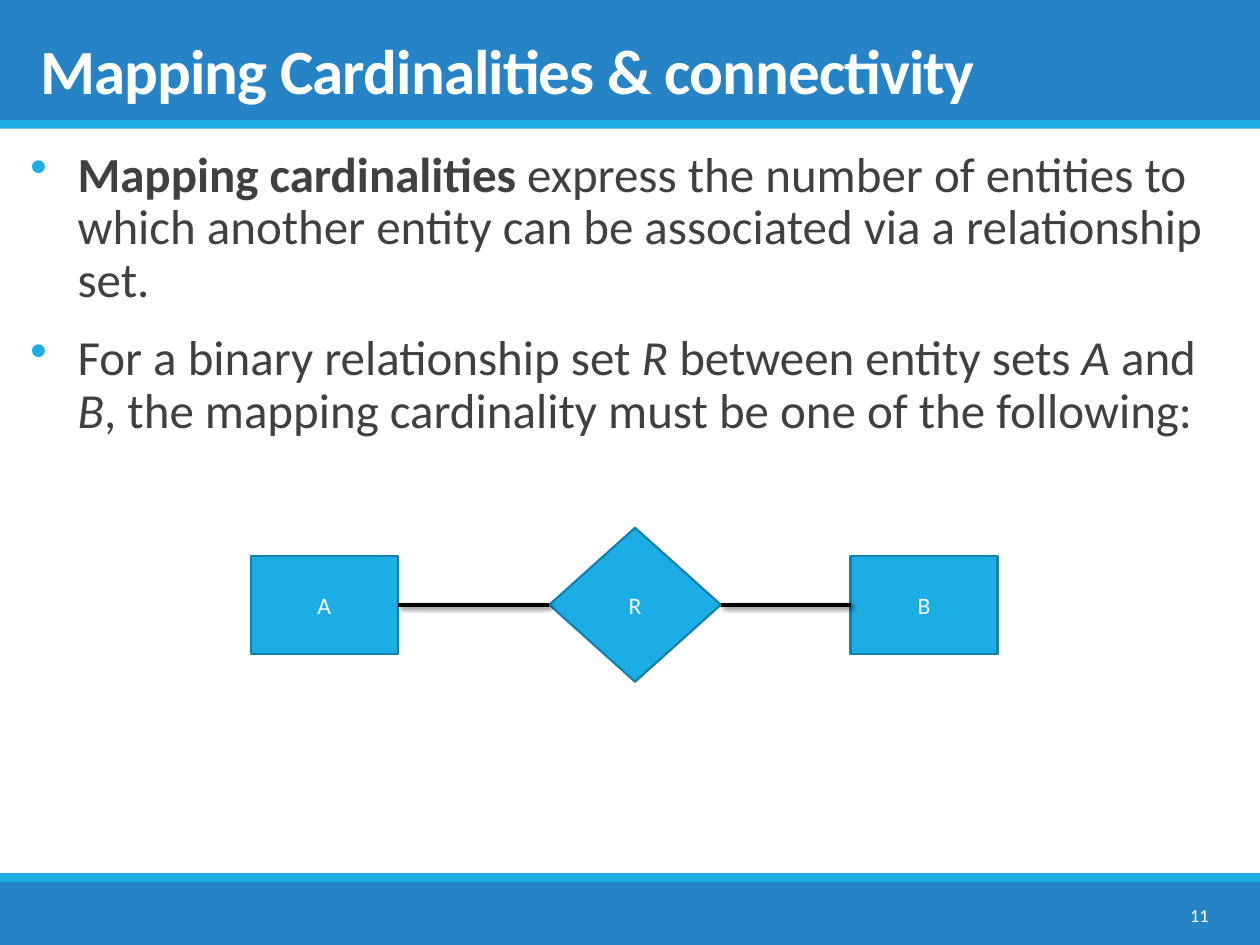
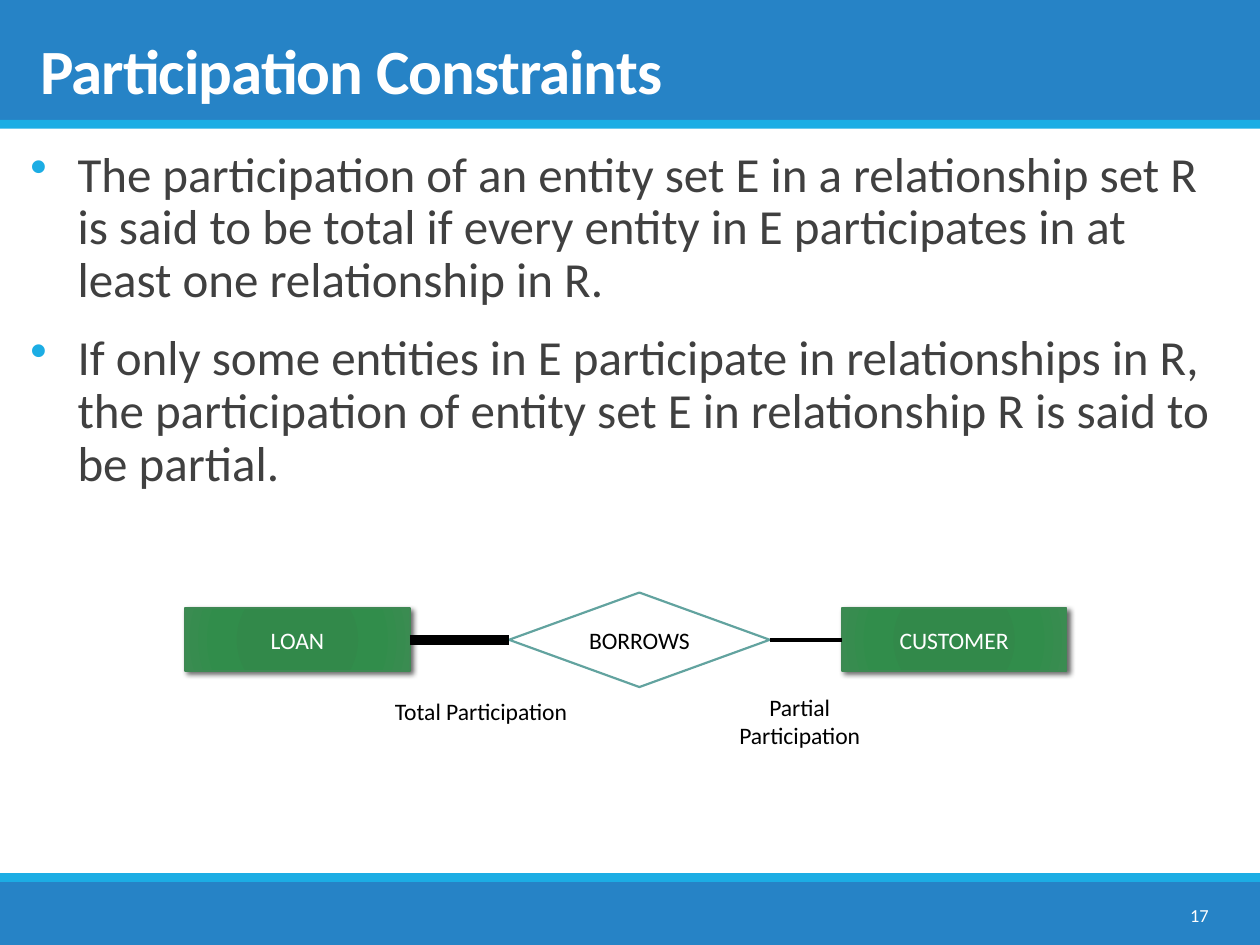
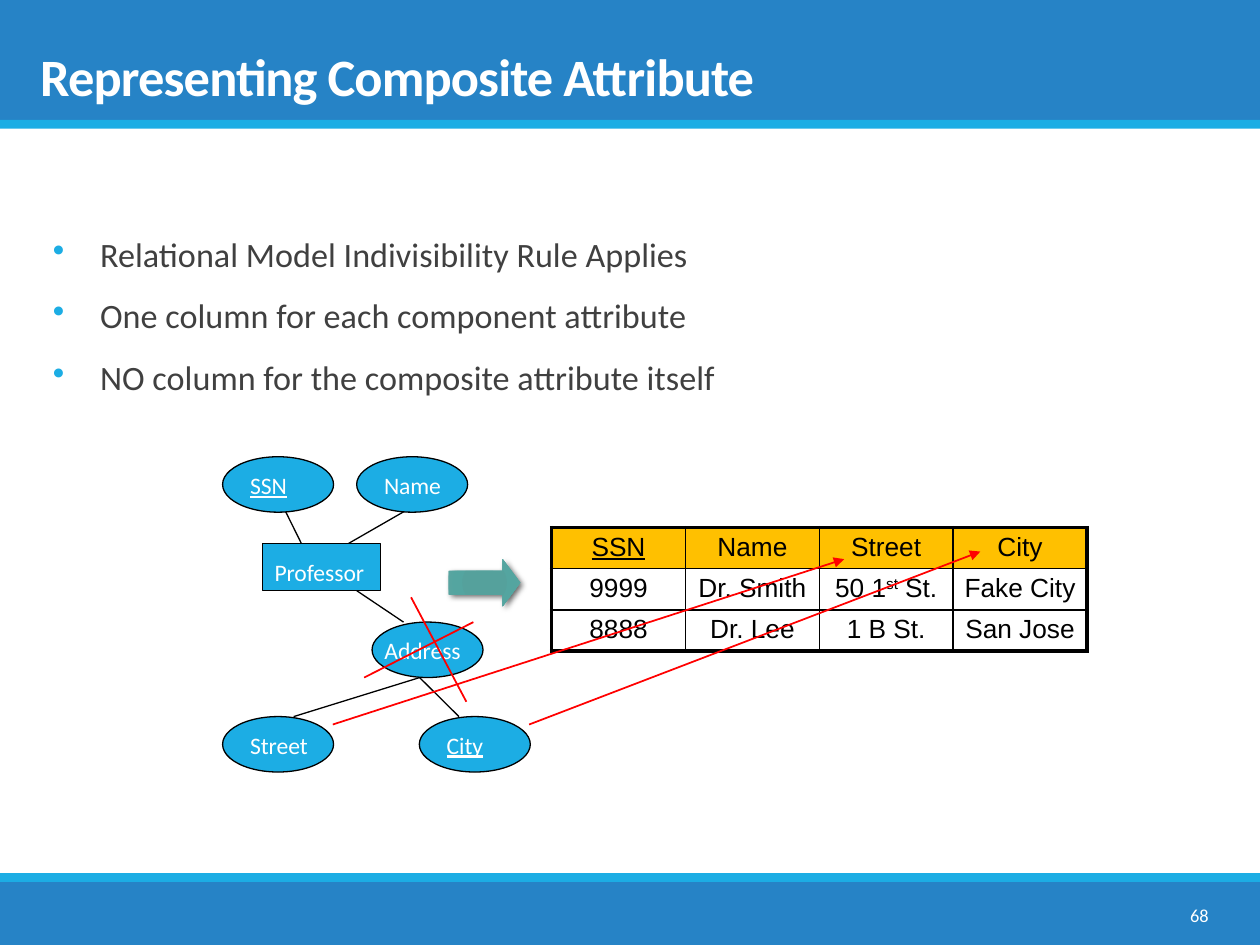
from dataclasses import dataclass

from lxml import etree
from pptx import Presentation
from pptx.dml.color import RGBColor
from pptx.enum import shapes, text
from pptx.oxml import ns
from pptx.util import Pt


@dataclass(frozen=True)
class Theme:
    blue: str = "2683C6"
    cyan: str = "1CADE4"
    cyan_edge: str = "1580A9"
    green_edge: str = "3E8853"
    teal_edge: str = "62A39F"
    gold: str = "FFC000"
    red: str = "FF0000"
    ink: str = "404040"
    black: str = "000000"
    white: str = "FFFFFF"
    greens: tuple = ("2F8949", "32894A", "318D4B", "3A8C51")
    teals: tuple = ("52A19C", "55A19C", "54A5A0", "5FA6A2")
    font: str = "Calibri"
    table_font: str = "Arial"
    label: float = 13.5
    cell: float = 15
    number: float = 10.5


THEME = Theme()
KIND = shapes.MSO_SHAPE
ALIGN = text.PP_ALIGN
ANCHOR = text.MSO_ANCHOR
WIDTH, HEIGHT = 720, 540

BANDS = [  # top, height, colour
    (0, 69, THEME.blue), (504, 36, THEME.blue),
    (499, 5, THEME.cyan), (68.6, 5, THEME.cyan),
]

# A paragraph is a string or a list of (text, style) spans.
PAGES = [
    dict(title="Mapping Cardinalities & connectivity", title_size=36, number="11",
         body_at=(17.3, 82, 680.4, 407.5), body_size=28, body=[
             [("Mapping cardinalities ", "bold"),
              ("express the number of entities to which another entity can be "
               "associated via a relationship set.", "")],
             [("For a binary relationship set ", ""), ("R ", "italic"),
              ("between entity sets ", ""), ("A ", "italic"), ("and ", ""), ("B", "italic"),
              (", the mapping cardinality must be one of the following:", "")]]),
    dict(title="Participation Constraints", title_size=36, number="17",
         body_at=(17.3, 82, 680.4, 407.5), body_size=28, body=[
             "The participation of an entity set E in a relationship set R is said to be "
             "total if every entity in E participates in at least one relationship in R.",
             "If only some entities in E participate in relationships in R, the "
             "participation of entity set E in relationship R is said to be partial."]),
    dict(title="Representing Composite Attribute", title_size=30, number="68",
         body_at=(30.2, 132.5, 572.4, 103.7), body_size=19.5, body=[
             "Relational Model Indivisibility Rule Applies",
             "One column for each component attribute",
             "NO column for the composite attribute itself"]),
]

CYAN_PART = dict(fill=THEME.cyan, line=THEME.cyan_edge, weight=1.25)
GREEN_PART = dict(fill=THEME.greens, line=THEME.green_edge, weight=1, shadow=3)
CARDINALITY = dict(
    axis=345.6, line_weights=(2, 2), line_shadow=3,
    parts=[  # label, kind, left, width, height, text colour, look
        ("A", KIND.RECTANGLE, 143.3, 84, 56, THEME.white, CYAN_PART),
        ("R", KIND.FLOWCHART_DECISION, 313.9, 98, 88, THEME.white, CYAN_PART),
        ("B", KIND.RECTANGLE, 486, 84, 56, THEME.white, CYAN_PART)])
PARTICIPATION = dict(
    axis=365.6, line_weights=(5.75, 2), line_shadow=None,
    parts=[
        ("LOAN", KIND.RECTANGLE, 105.8, 128.4, 36, THEME.white, GREEN_PART),
        ("BORROWS", KIND.FLOWCHART_DECISION, 290.9, 149, 54, THEME.black,
         dict(fill=THEME.white, line=THEME.teal_edge, weight=1.25)),
        ("CUSTOMER", KIND.RECTANGLE, 481, 128.4, 36, THEME.white, GREEN_PART)])
PARTICIPATION_LABELS = [
    (["Total Participation"], (218.6, 394.6, 115.2, 24), ALIGN.LEFT),
    (["Partial", "Participation"], (413.5, 392.4, 87, 40), ALIGN.CENTER),
]

OVAL = (63.4, 31.7)
NODES = [  # label, kind, left, top, size, label shift, label width, style
    ("Professor", KIND.RECTANGLE, 149.8, 310.5, (67.6, 26.9), (0, 5), 72, ""),
    ("SSN", KIND.OVAL, 127.2, 261, OVAL, (8.6, 4.5), 50, "underline"),
    ("Name", KIND.OVAL, 203.8, 261, OVAL, (8.6, 4.5), 50, ""),
    ("Address", KIND.OVAL, 212.6, 355.5, OVAL, (0, 4.5), OVAL[0], ""),
    ("Street", KIND.OVAL, 127.2, 409.5, OVAL, (8.6, 4.5), 50, ""),
    ("City", KIND.OVAL, 239.6, 409.5, OVAL, (8.6, 4.5), 50, "underline"),
]
NODE_LINKS = [
    ((230.6, 355.5), (203.8, 337.5)), ((163.3, 292.5), (172.2, 310.5)),
    ((230.6, 292.5), (199.3, 310.5)), ((239.8, 387.2), (167.8, 409.5)),
    ((239.8, 387.2), (262.3, 409.5)),
]
CROSS_OUT = [((234.9, 341.3), (266.5, 401)), ((270.5, 355.5), (208.1, 387.2))]
COLUMN_ARROWS = [((190.2, 414), (482.4, 319.5)), ((302.4, 414), (560.2, 315.2))]

TABLE_AT = (315.2, 301.5, 306, 70.5)
TABLE = [
    [[("SSN", "underline")], "Name", "Street", "City"],
    ["9999", "Dr. Smith", [("50 1", ""), ("st", "superscript"), (" St.", "")], "Fake City"],
    ["8888", "Dr. Lee", "1 B St.", "San Jose"],
]


def rgb(color):
    return RGBColor.from_string(color)


def points(*lengths):
    return [Pt(length) for length in lengths]


def add_xml(parent, tag, **attributes):
    values = {name: str(value) for name, value in attributes.items()}
    return etree.SubElement(parent, ns.qn(tag), values)


def write(frame, paras, size=THEME.label, color=THEME.black, font=THEME.font, bold=False,
          align=ALIGN.LEFT, anchor=ANCHOR.TOP, line_spacing=None, bullet=False, tracking=0):
    frame.word_wrap = True
    frame.auto_size = text.MSO_AUTO_SIZE.NONE
    frame.vertical_anchor = anchor
    for index, spans in enumerate(paras):
        para = frame.add_paragraph() if index else frame.paragraphs[0]
        para.alignment = align
        if line_spacing:
            para.line_spacing = line_spacing
        if bullet:
            add_bullet(para)
            para.space_before = Pt(12 if index else 0)
            para.space_after = Pt(2)
        for words, style in [(spans, "")] if isinstance(spans, str) else spans:
            span = para.add_run()
            span.text = words
            span.font.name, span.font.size = font, Pt(size)
            span.font.color.rgb = rgb(color)
            span.font.bold = bold or style == "bold"
            span.font.italic = style == "italic"
            span.font.underline = style == "underline"
            properties = span._r.get_or_add_rPr()
            if style == "superscript":
                properties.set("baseline", "30000")
            if tracking:
                properties.set("spc", str(round(tracking * 100)))


def add_bullet(para):
    properties = para._p.get_or_add_pPr()
    properties.set("marL", str(Pt(27)))
    properties.set("indent", str(-Pt(27)))
    add_xml(add_xml(properties, "a:buClr"), "a:srgbClr", val=THEME.cyan)
    add_xml(properties, "a:buChar", char="•")


def add_text(page, at, paras, **format):
    box = page.shapes.add_textbox(*points(*at))
    write(box.text_frame, paras, **format)
    return box


def fill_gradient(shape, colors):
    shape.fill.background()
    properties = shape.element.spPr
    plain = properties.find(ns.qn("a:noFill"))
    gradient = etree.Element(ns.qn("a:gradFill"), rotWithShape="1")
    stops = add_xml(gradient, "a:gsLst")
    for position, color in zip((0, 34, 70, 100), colors):
        add_xml(add_xml(stops, "a:gs", pos=position * 1000), "a:srgbClr", val=color)
    center = add_xml(gradient, "a:path", path="circle")
    add_xml(center, "a:fillToRect", l=100000, t=100000, r=100000, b=100000)
    properties.replace(plain, gradient)


def cast_shadow(part, blur):
    effects = part.element.spPr.find(ns.qn("a:effectLst"))
    shadow = add_xml(effects, "a:outerShdw", blurRad=Pt(blur), dist=Pt(2),
                     dir=45 * 60000, algn="tl", rotWithShape=0)
    add_xml(add_xml(shadow, "a:srgbClr", val=THEME.black), "a:alpha", val=60000)


def add_part(page, kind, at, fill, line=None, weight=0.75, shadow=None):
    """Add a preset shape; a tuple of colours as fill makes a gradient."""
    shape = page.shapes.add_shape(kind, *points(*at))
    shape.shadow.inherit = False
    if isinstance(fill, tuple):
        fill_gradient(shape, fill)
    else:
        shape.fill.solid()
        shape.fill.fore_color.rgb = rgb(fill)
    if line:
        shape.line.color.rgb = rgb(line)
        shape.line.width = Pt(weight)
    else:
        shape.line.fill.background()
    if shadow:
        cast_shadow(shape, shadow)
    return shape


def add_line(page, start=(0, 0), end=(0, 0), color=THEME.black, weight=0.75,
             shadow=None, arrow=False):
    line = page.shapes.add_connector(shapes.MSO_CONNECTOR.STRAIGHT, *points(*start, *end))
    add_xml(line.element.spPr, "a:effectLst")
    line.line.color.rgb = rgb(color)
    line.line.width = Pt(weight)
    if shadow:
        cast_shadow(line, shadow)
    if arrow:
        add_xml(line.line._get_or_add_ln(), "a:tailEnd", type="triangle")
    return line


def add_bands(deck, layout):
    """Draw the bands on a page and move them behind everything on the layout."""
    page = deck.slides[0]
    for index, (top, height, color) in enumerate(BANDS):
        band = add_part(page, KIND.RECTANGLE, (0, top, WIDTH, height), color)
        layout.shapes.element.insert(2 + index, band.element)


def add_page(deck, layout, content):
    page = deck.slides.add_slide(layout)
    title = page.shapes.title
    title.left, title.top, title.width, title.height = points(15.8, 5, 686.2, 59.8)
    write(title.text_frame, [content["title"]], size=content["title_size"],
          color=THEME.white, bold=True, anchor=ANCHOR.BOTTOM, line_spacing=0.85, tracking=-0.5)
    body = add_text(page, content["body_at"], content["body"], size=content["body_size"],
                    color=THEME.ink, line_spacing=0.9, bullet=True)
    body.text_frame.margin_left = body.text_frame.margin_right = 0
    add_text(page, (619.9, 508.5, 77.8, 28.8), [content["number"]], size=THEME.number,
             color=THEME.white, align=ALIGN.RIGHT, anchor=ANCHOR.MIDDLE)
    return page


def draw_relation(page, axis, parts, line_weights, line_shadow):
    """Place the parts on one horizontal axis and join neighbours side to side."""
    placed = []
    for label, kind, left, width, height, color, look in parts:
        shape = add_part(page, kind, (left, axis - height / 2, width, height), **look)
        write(shape.text_frame, [label], color=color, align=ALIGN.CENTER, anchor=ANCHOR.MIDDLE)
        shape.text_frame.margin_left = shape.text_frame.margin_right = 0
        placed.append(shape)
    for left_part, right_part, weight in zip(placed, placed[1:], line_weights):
        line = add_line(page, weight=weight, shadow=line_shadow)
        line.begin_connect(left_part, 3)
        line.end_connect(right_part, 1)


def set_borders(cell, **weights):
    properties = cell._tc.get_or_add_tcPr()
    for side, weight in weights.items():
        border = add_xml(properties, f"a:ln{side}", w=Pt(weight))
        add_xml(add_xml(border, "a:solidFill"), "a:srgbClr", val=THEME.black)


def draw_table(page):
    last_row, last_column = len(TABLE) - 1, len(TABLE[0]) - 1
    table = page.shapes.add_table(len(TABLE), len(TABLE[0]), *points(*TABLE_AT)).table
    table.first_row = table.horz_banding = False
    for row, values in enumerate(TABLE):
        for column, value in enumerate(values):
            cell = table.cell(row, column)
            cell.margin_left = cell.margin_right = Pt(5)
            cell.margin_top = cell.margin_bottom = Pt(2.7)
            write(cell.text_frame, [value], size=THEME.cell, font=THEME.table_font,
                  align=ALIGN.CENTER)
            set_borders(cell, L=1 if column else 2.25, R=2.25 if column == last_column else 1,
                        T=1 if row else 2.25, B=2.25 if row == last_row else 1)
            if row:
                cell.fill.background()
            else:
                cell.fill.solid()
                cell.fill.fore_color.rgb = rgb(THEME.gold)


def draw_attributes(page):
    for label, kind, left, top, size, (shift_x, shift_y), label_width, style in NODES:
        add_part(page, kind, (left, top, *size), THEME.cyan, THEME.black)
        add_text(page, (left + shift_x, top + shift_y, label_width, 23.8),
                 [[(label, style)]], color=THEME.white)
    for start, end in NODE_LINKS:
        add_line(page, start, end)
    arrow = add_part(page, KIND.RIGHT_ARROW, (256.4, 319.5, 41, 27), THEME.teals, shadow=3.5)
    arrow.adjustments[0], arrow.adjustments[1] = 0.5, 0.375
    for start, end in CROSS_OUT:
        add_line(page, start, end, THEME.red, 1)
    for start, end in COLUMN_ARROWS:
        add_line(page, start, end, THEME.red, 1, arrow=True)


def main():
    deck = Presentation()
    deck.slide_width, deck.slide_height = points(WIDTH, HEIGHT)
    layout = deck.slide_layouts.get_by_name("Title Only")
    mapping, participation, composite = [add_page(deck, layout, each) for each in PAGES]
    add_bands(deck, layout)
    draw_relation(mapping, **CARDINALITY)
    draw_relation(participation, **PARTICIPATION)
    for lines, at, align in PARTICIPATION_LABELS:
        add_text(participation, at, lines, align=align)
    draw_table(composite)
    draw_attributes(composite)
    deck.save("out.pptx")


if __name__ == "__main__":
    main()
